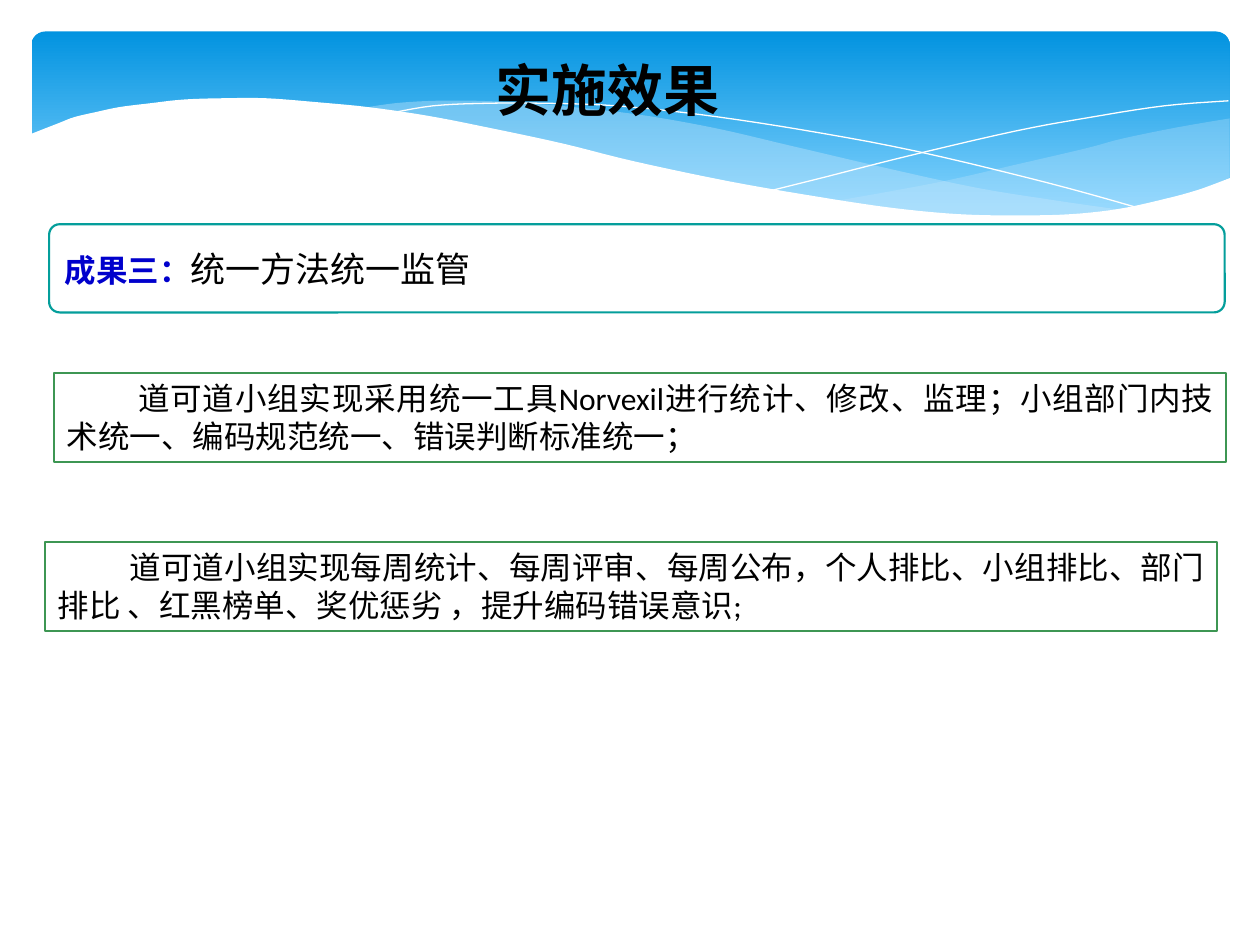
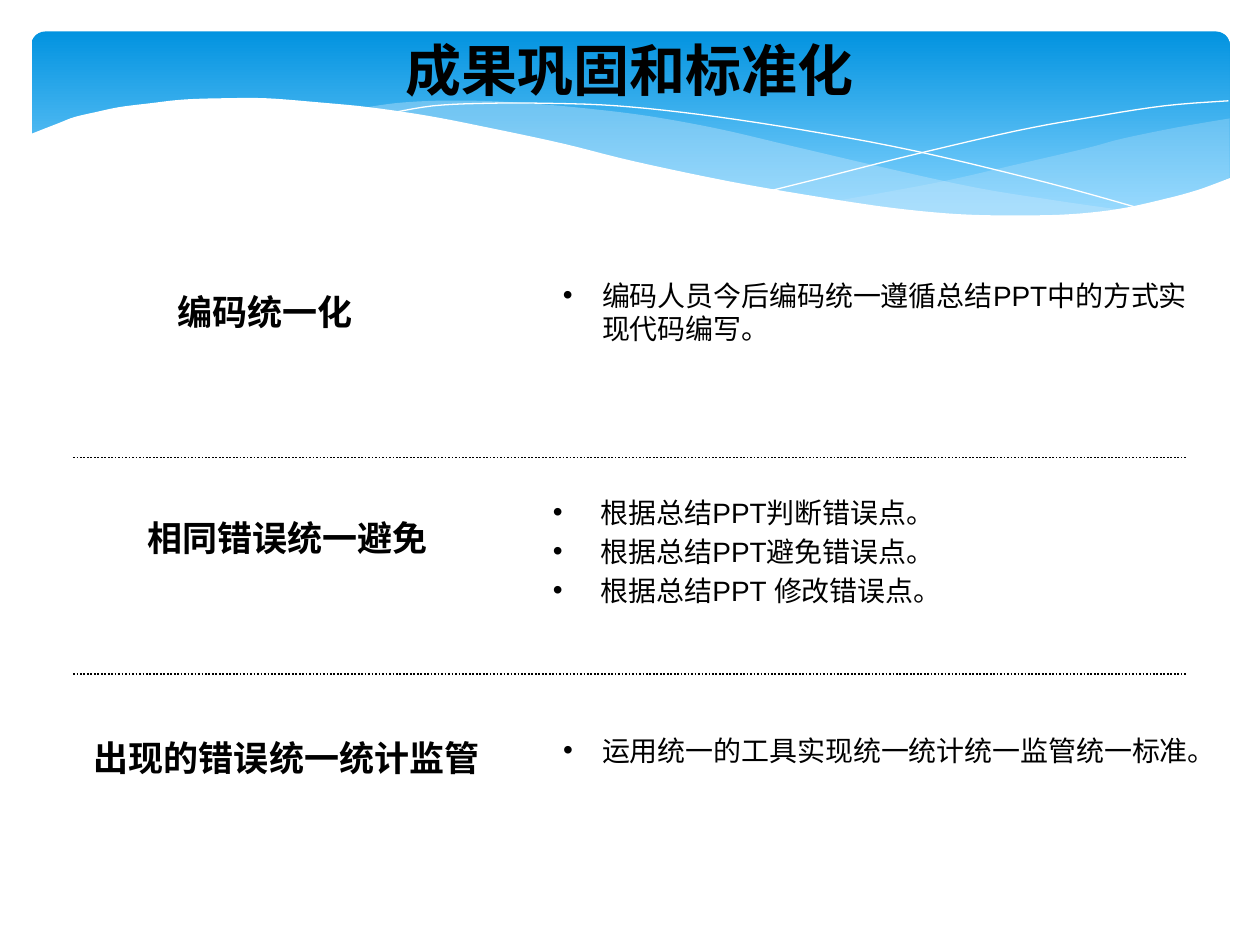
import pptx
import pptx.util
import pptx.dml.color
import pptx.enum.dml
import pptx.enum.shapes
import pptx.enum.text
import pptx.oxml
import pptx.oxml.ns
from lxml import etree

RGBColor = pptx.dml.color.RGBColor
Shapes = pptx.enum.shapes.MSO_SHAPE
Align = pptx.enum.text.PP_ALIGN
Anchor = pptx.enum.text.MSO_ANCHOR
qn = pptx.oxml.ns.qn

BLACK = RGBColor(0x00, 0x00, 0x00)
WHITE = RGBColor(0xFF, 0xFF, 0xFF)
SKY_TOP = RGBColor(0x02, 0x93, 0xE0)
SKY_BOTTOM = RGBColor(0x83, 0xD3, 0xFE)
MIST = RGBColor(0xC6, 0xE7, 0xFC)
TEAL = RGBColor(0x04, 0x9E, 0x9B)
GREEN = RGBColor(0x3D, 0x96, 0x53)
BLUE = RGBColor(0x00, 0x00, 0xCC)

HEAD_FONT = "Noto Sans CJK SC"
BODY_FONT = "Calibri"
LIST_FONT = "Arial"

# The slide is a grid of 100 columns and 75 rows
COLUMNS, ROWS = 100, 75

# Wave edges of the band, as (column, row)
RIGHT_TOP = [(97.6, 9.4), (93.5, 10.1), (89.1, 11), (86.1, 11.8),
             (80.5, 13.1), (75.3, 14.3), (70.6, 15.2), (66.1, 16)]
RIGHT_BOTTOM = [(66.1, 16), (71.9, 16.7), (76.9, 17.1), (81.4, 17.2),
                (85.4, 17), (88.9, 16.6), (92.1, 16), (94.9, 15.2), (97.6, 14.1)]
MIDDLE_TOP = [(89.3, 16.7), (83.7, 15.9), (77.5, 14.9), (70.6, 13.4),
              (62.9, 11.6), (56.9, 10.2), (51.4, 9.2), (46.5, 8.6),
              (42, 8.2), (38, 8), (34.4, 8), (31.3, 8.2), (28.6, 8.6)]
MIDDLE_BOTTOM = [(28.6, 8.6), (34.2, 9.4), (40.4, 10.6), (44.9, 11.6),
                 (53, 13.5), (60.1, 15), (66.5, 16.1), (72.2, 16.8),
                 (77.3, 17.2), (81.8, 17.3), (85.7, 17.1), (89.3, 16.7)]
FALLING_LINE = [(30.9, 9), (34.4, 8.4), (38.7, 8.2), (43.3, 8.2),
                (48.9, 8.4), (55.6, 9.1), (63.6, 10.3), (72.7, 12),
                (83.1, 14.5), (90.7, 16.6)]
RISING_LINE = [(61.3, 15.1), (65.3, 14.1), (72, 12.4), (80.6, 10.4),
               (86.6, 9.3), (92.4, 8.4), (97.5, 8)]
WHITE_CREST = [(97.7, 14.1), (95, 15.1), (92, 15.9), (88.7, 16.6),
               (85, 17), (80.9, 17.1), (76.1, 17), (70.8, 16.5),
               (64.8, 15.6), (57.9, 14.4), (50.3, 12.8), (44.7, 11.4),
               (39.1, 10.2), (34, 9.2), (29.2, 8.5), (25, 8.1),
               (21.1, 7.8), (17.7, 7.8), (14.6, 7.9), (11.9, 8.2),
               (9.5, 8.5), (7.6, 8.9), (5.9, 9.3), (4.6, 9.8), (2.3, 10.7)]


def cells(count):
    """Length of a number of grid cells; a cell is square."""
    return pptx.util.Inches(count / 10)


def curve(points, steps=5):
    """Catmull-Rom curve through the points."""
    padded = [points[0], *points, points[-1]]
    result = [points[0]]
    for a, b, c, d in zip(padded, padded[1:], padded[2:], padded[3:]):
        for step in range(1, steps + 1):
            t = step / steps
            result.append(tuple(
                (2 * q + (r - p) * t + (2 * p - 5 * q + 4 * r - s) * t ** 2
                 + (3 * q - p - 3 * r + s) * t ** 3) / 2
                for p, q, r, s in zip(a, b, c, d)))
    return result


def paint(shape, fill=None, line=None, width=1.25, alpha=None):
    shape.shadow.inherit = False
    if fill is None:
        shape.fill.background()
    else:
        shape.fill.solid()
        shape.fill.fore_color.rgb = fill
        if alpha is not None:
            color = shape.fill._xPr.find(qn("a:solidFill"))[0]
            etree.SubElement(color, qn("a:alpha"), val=str(alpha * 1000))
    if line is None:
        shape.line.fill.background()
    else:
        shape.line.color.rgb = line
        shape.line.width = pptx.util.Pt(width)


def add_outline(page, points, closed=True, **look):
    corners = [(cells(x), cells(y)) for x, y in points]
    builder = page.shapes.build_freeform(*corners[0])
    builder.add_line_segments(corners[1:], close=closed)
    paint(builder.convert_to_shape(), **look)


def add_bullet(para, indent):
    props = para._p.get_or_add_pPr()
    props.set("marL", str(cells(indent)))
    props.set("indent", str(-cells(indent)))
    color = etree.SubElement(props, qn("a:buClr"))
    etree.SubElement(color, qn("a:srgbClr"), val=str(BLACK))
    etree.SubElement(props, qn("a:buFont"), typeface=LIST_FONT)
    etree.SubElement(props, qn("a:buChar"), char="•")


def add_span(para, text, font, size, color=BLACK, bold=False):
    span = para.add_run()
    span.text = text
    span.font.name = font
    span.font.size = pptx.util.Pt(size)
    span.font.bold = bold
    span.font.color.rgb = color
    props = span._r.get_or_add_rPr()
    etree.SubElement(props, qn("a:ea"), typeface=font)


def write(box, *texts, align=Align.LEFT, anchor=Anchor.TOP, bullet=None,
          first_indent=None, space=0, **style):
    """Each text is one paragraph: a string, or a list of (text, style)."""
    frame = box.text_frame
    frame.word_wrap = True
    frame.vertical_anchor = anchor
    for number, text in enumerate(texts):
        para = frame.add_paragraph() if number else frame.paragraphs[0]
        para.alignment = align
        if number:
            para.space_before = pptx.util.Pt(space)
        if bullet:
            add_bullet(para, bullet)
        if first_indent:
            para._p.get_or_add_pPr().set("indent", str(cells(first_indent)))
        spans = [(text, style)] if isinstance(text, str) else text
        for words, look in spans:
            add_span(para, words, **look)


def add_text(page, place, *texts, **style):
    box = page.shapes.add_textbox(*map(cells, place))
    write(box, *texts, **style)


def add_panel(page, place, kind, line):
    box = page.shapes.add_shape(kind, *map(cells, place))
    paint(box, fill=WHITE, line=line)
    return box


def add_divider(page, row, margin=5.8):
    line = page.shapes.add_connector(
        pptx.enum.shapes.MSO_CONNECTOR.STRAIGHT,
        cells(margin), cells(row), cells(COLUMNS - margin), cells(row))
    line.line.color.rgb = BLACK
    line.line.width = pptx.util.Pt(1)
    line.line.dash_style = pptx.enum.dml.MSO_LINE.ROUND_DOT
    etree.SubElement(line._element.spPr, qn("a:effectLst"))


def add_band(page):
    band = page.shapes.add_shape(
        Shapes.ROUNDED_RECTANGLE, *map(cells, (2.5, 2.5, 95.1, 15.6)))
    band.adjustments[0] = 0.07
    paint(band)
    band.fill.gradient()
    band.fill.gradient_angle = 270
    stops = band.fill.gradient_stops
    for stop, color, position in zip(stops, (SKY_TOP, SKY_BOTTOM), (0, 0.9)):
        stop.color.rgb = color
        stop.position = position
    add_outline(page, curve(RIGHT_TOP) + curve(RIGHT_BOTTOM), fill=MIST, alpha=29)
    add_outline(page, curve(MIDDLE_TOP) + curve(MIDDLE_BOTTOM), fill=MIST, alpha=40)
    for points in (FALLING_LINE, RISING_LINE):
        add_outline(page, curve(points), closed=False, line=WHITE, width=0)
    add_outline(page, curve(WHITE_CREST) + [(2.3, 22.4), (97.7, 22.4)], fill=WHITE)


def add_page(deck, title, place):
    page = deck.slides.add_slide(deck.slide_layouts[6])
    add_band(page)
    add_text(page, place, title, align=Align.CENTER, anchor=Anchor.MIDDLE,
             font=HEAD_FONT, size=32, bold=True)
    return page


def add_effect_page(deck):
    page = add_page(deck, "实施效果", (12, 3.9, 72.4, 6.3))

    # Headline panel
    headline = add_panel(page, (3.9, 17.8, 93.3, 7), Shapes.ROUNDED_RECTANGLE, TEAL)
    headline.adjustments[0] = 0.12
    write(headline, [
        ("成果三：", dict(font=HEAD_FONT, size=18, color=BLUE, bold=True)),
        ("统一方法统一监管", dict(font=BODY_FONT, size=20))],
        anchor=Anchor.MIDDLE)

    # Detail panels
    details = [
        (4.3, 29.6, "道可道小组实现采用统一工具Norvexil进行统计、修改、监理；"
                    "小组部门内技术统一、编码规范统一、错误判断标准统一；"),
        (3.6, 43, "道可道小组实现每周统计、每周评审、每周公布，个人排比、"
                  "小组排比、部门排比 、红黑榜单、奖优惩劣 ，提升编码错误意识;")]
    for left, top, text in details:
        panel = add_panel(page, (left, top, 93, 7.1), Shapes.RECTANGLE, GREEN)
        write(panel, text, align=Align.JUSTIFY, first_indent=5.7,
              font=BODY_FONT, size=18)


def add_standard_page(deck):
    page = add_page(deck, "成果巩固和标准化", (12.4, 2.9, 75.2, 5.2))

    # Topics on the left
    topics = [("编码统一化", (10.6, 22.6, 20.9, 4.4)),
              ("相同错误统一避免", (10.6, 40.5, 24.5, 4.4)),
              ("出现的错误统一统计监管", (5.8, 58, 33.9, 4.4))]
    for text, place in topics:
        add_text(page, place, text, align=Align.CENTER,
                 font=LIST_FONT, size=20, bold=True)

    # Measures on the right
    measures = [
        ((43.7, 21.6, 53, 6.4), 3.1,
         ["编码人员今后编码统一遵循总结PPT中的方式实现代码编写。"]),
        ((42.9, 38.8, 53, 12.9), 3.8,
         ["根据总结PPT判断错误点。", "根据总结PPT避免错误点。",
          "根据总结PPT 修改错误点。"]),
        ((43.7, 57.7, 55.1, 3.7), 3.1,
         ["运用统一的工具实现统一统计统一监管统一标准。"])]
    for place, indent, texts in measures:
        add_text(page, place, *texts, bullet=indent, space=3.2,
                 font=LIST_FONT, size=16)

    for row in (36.3, 53.5):
        add_divider(page, row)


def main():
    deck = pptx.Presentation()
    deck.slide_width = cells(COLUMNS)
    deck.slide_height = cells(ROWS)
    add_effect_page(deck)
    add_standard_page(deck)
    deck.save("out.pptx")


main()
